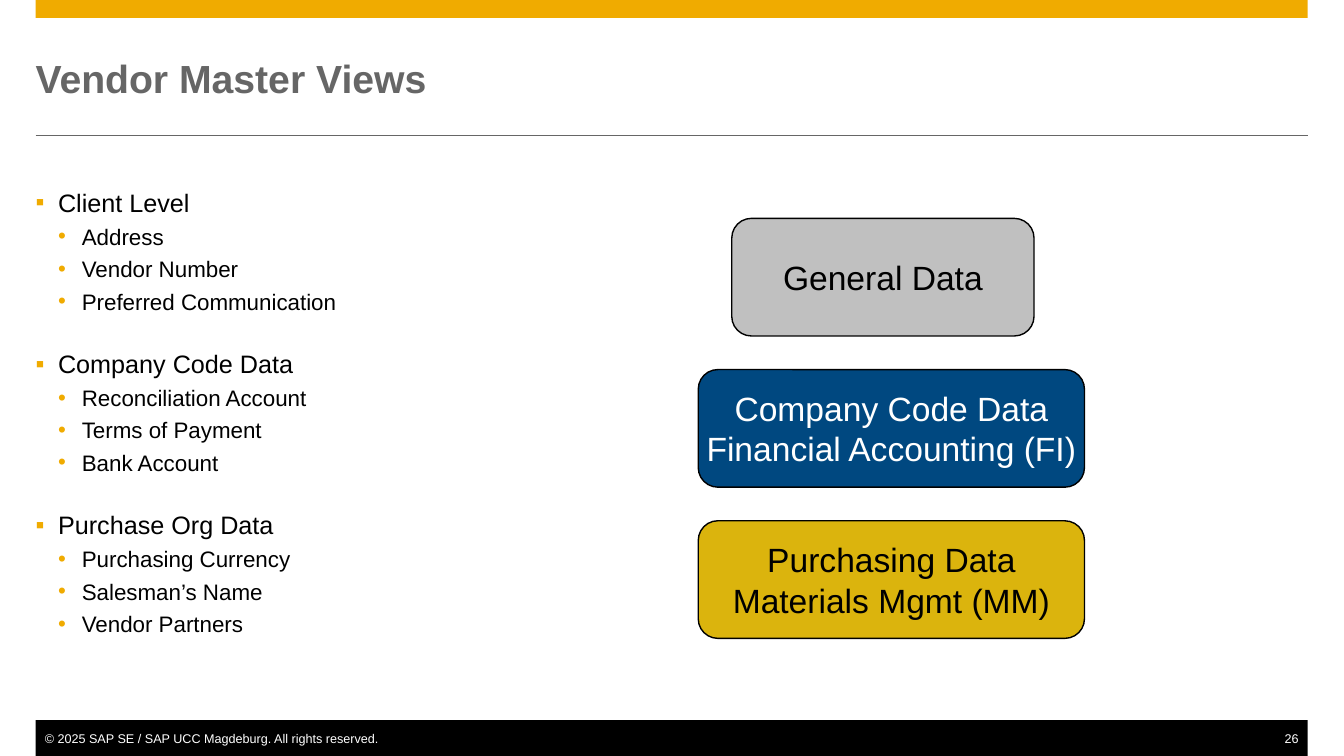
from lxml import etree
from pptx import Presentation
from pptx.dml.color import RGBColor
from pptx.enum import shapes, text
from pptx.oxml.ns import qn
from pptx.util import Pt

COLORS = {"gold": "F0AB00", "grey": "666666", "black": "000000", "white": "FFFFFF",
          "silver": "C0C0C0", "blue": "004880", "mustard": "DBB40D"}
LEFT, WIDTH = 25.5, 909
LEFT_ALIGN, CENTER, RIGHT = text.PP_ALIGN.LEFT, text.PP_ALIGN.CENTER, text.PP_ALIGN.RIGHT
TOP, MIDDLE = text.MSO_ANCHOR.TOP, text.MSO_ANCHOR.MIDDLE


def rgb(name):
    return RGBColor.from_string(COLORS[name])


def write(p, content, size=18, color="black", bold=False, align=LEFT_ALIGN, before=0):
    p.alignment = align
    p.space_before = Pt(before)
    r = p.add_run()
    r.text = content
    r.font.name = "Arial"
    r.font.size = Pt(size)
    r.font.bold = bold
    r.font.color.rgb = rgb(color)


def add_bullet(p, char, color, margin, hang):
    pPr = p._p.get_or_add_pPr()
    pPr.set("marL", str(Pt(margin)))
    pPr.set("indent", str(-Pt(hang)))
    clr = etree.SubElement(pPr, qn("a:buClr"))
    etree.SubElement(clr, qn("a:srgbClr"), val=COLORS[color])
    etree.SubElement(pPr, qn("a:buFont"), typeface="Arial")
    etree.SubElement(pPr, qn("a:buChar"), char=char)


class SlideBuilder:
    def __init__(self, slide):
        self.slide = slide

    def box(self, x, y, w, h, fill, kind=shapes.MSO_SHAPE.RECTANGLE, line=None):
        sp = self.slide.shapes.add_shape(kind, Pt(x), Pt(y), Pt(w), Pt(h))
        sp.shadow.inherit = False
        sp.fill.solid()
        sp.fill.fore_color.rgb = rgb(fill)
        if line:
            sp.line.color.rgb = rgb(line)
            sp.line.width = Pt(1)
        else:
            sp.line.fill.background()
        return sp

    def rule(self, x, y, w, color):
        ln = self.slide.shapes.add_connector(
            shapes.MSO_CONNECTOR.STRAIGHT, Pt(x), Pt(y), Pt(x + w), Pt(y))
        ln.line.color.rgb = rgb(color)
        ln.line.width = Pt(0.5)
        etree.SubElement(ln._element.spPr, qn("a:effectLst"))

    def frame(self, x, y, w, h, anchor=TOP, left=0, right=0, wrap=True):
        tf = self.slide.shapes.add_textbox(Pt(x), Pt(y), Pt(w), Pt(h)).text_frame
        tf.margin_left, tf.margin_right = Pt(left), Pt(right)
        tf.margin_top = tf.margin_bottom = 0
        tf.vertical_anchor = anchor
        tf.word_wrap = wrap
        return tf

    def label(self, x, y, w, h, content, anchor=TOP, left=0, right=0, wrap=True, **fmt):
        tf = self.frame(x, y, w, h, anchor, left, right, wrap)
        write(tf.paragraphs[0], content, **fmt)

    def card(self, x, y, w, h, lines, fill, color):
        sp = self.box(x, y, w, h, fill, shapes.MSO_SHAPE.ROUNDED_RECTANGLE, "black")
        sp.adjustments[0] = 0.167
        tf = sp.text_frame
        tf.word_wrap = False
        tf.vertical_anchor = MIDDLE
        for i, content in enumerate(lines):
            p = tf.add_paragraph() if i else tf.paragraphs[0]
            write(p, content, size=24, color=color, align=CENTER)

    def outline(self, x, y, w, h, sections):
        tf = self.frame(x, y, w, h)
        for i, (heading, items) in enumerate(sections):
            p = tf.add_paragraph() if i else tf.paragraphs[0]
            write(p, heading, before=24 if i else 0)
            add_bullet(p, "▪", "gold", 16, 16)
            for item in items:
                p = tf.add_paragraph()
                p.level = 1
                write(p, item, size=16, before=4)
                add_bullet(p, "•", "gold", 33, 17)


def main():
    prs = Presentation()
    prs.slide_width, prs.slide_height = Pt(960.5), Pt(540)
    s = SlideBuilder(prs.slides.add_slide(prs.slide_layouts[6]))

    # Header
    s.box(LEFT, 0, WIDTH, 12.75, "gold")
    s.rule(LEFT, 97, WIDTH, "grey")
    s.label(LEFT, 25.5, WIDTH, 60, "Vendor Master Views", anchor=MIDDLE,
            size=28, color="grey", bold=True)

    # Footer
    s.box(LEFT, 514.5, WIDTH, 25.5, "black")
    s.label(LEFT, 522, 248, 11, "© 2025 SAP SE / SAP UCC Magdeburg. All rights reserved.",
            left=6.5, wrap=False, size=9, color="white")
    s.label(LEFT + WIDTH - 30, 522, 30, 11, "26", right=6.5,
            size=9, color="white", align=RIGHT)

    # Data levels
    s.outline(LEFT, 133.5, 440, 345, [
        ("Client Level", ["Address", "Vendor Number", "Preferred Communication"]),
        ("Company Code Data", ["Reconciliation Account", "Terms of Payment", "Bank Account"]),
        ("Purchase Org Data", ["Purchasing Currency", "Salesman’s Name", "Vendor Partners"]),
    ])

    # Views
    views = [
        (523, 216, ["General Data"], "silver", "black"),
        (499, 276, ["Company Code Data", "Financial Accounting (FI)"], "blue", "white"),
        (499, 276, ["Purchasing Data", "Materials Mgmt (MM)"], "mustard", "black"),
    ]
    for i, (x, w, lines, fill, color) in enumerate(views):
        s.card(x, 156 + 108 * i, w, 84, lines, fill, color)

    prs.save("out.pptx")


if __name__ == "__main__":
    main()
